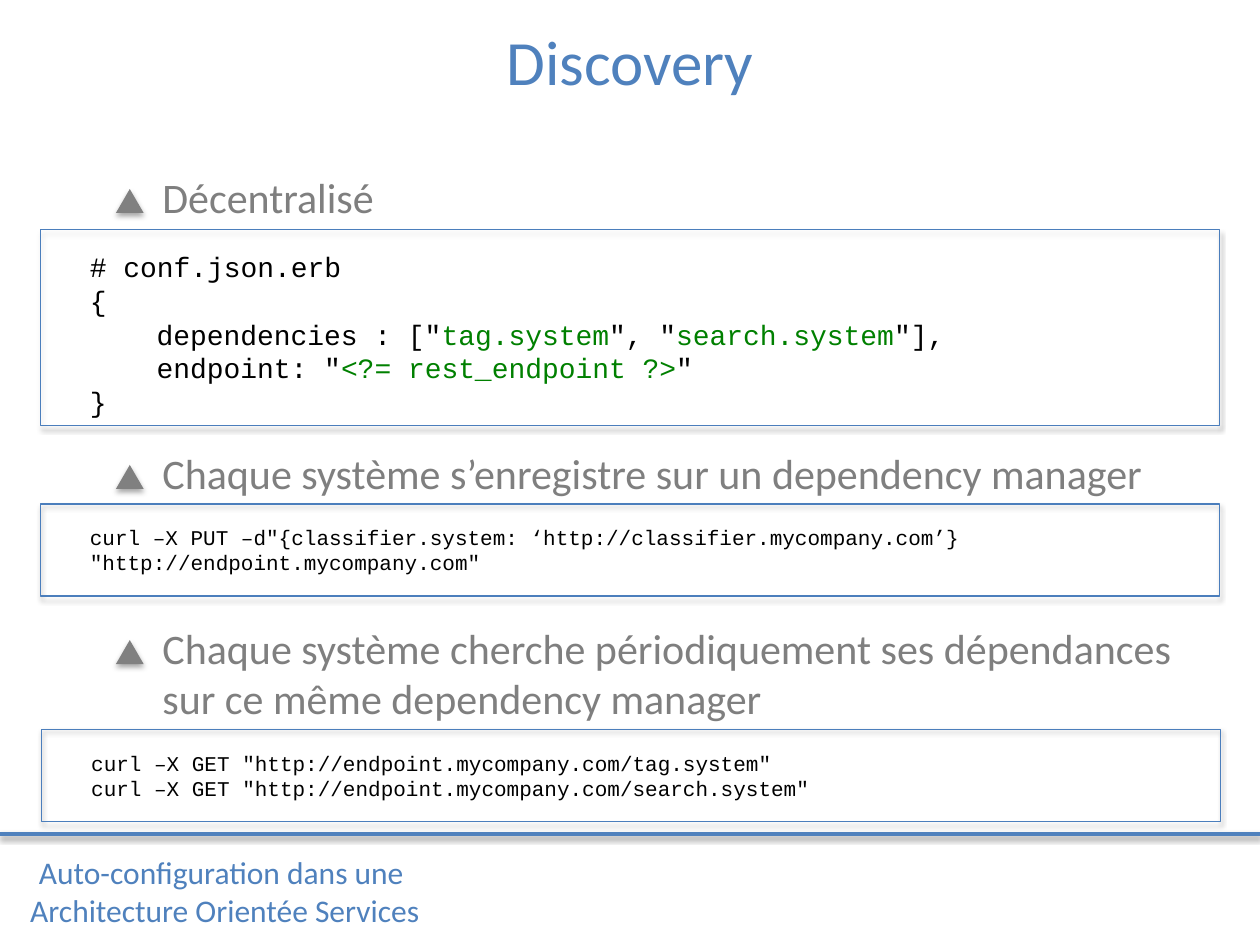
from lxml import etree
from pptx import Presentation
from pptx.dml.color import RGBColor
from pptx.enum.shapes import MSO_CONNECTOR, MSO_SHAPE
from pptx.enum.text import MSO_AUTO_SIZE, PP_ALIGN
from pptx.oxml.ns import qn
from pptx.util import Inches, Pt

STRAIGHT = MSO_CONNECTOR.STRAIGHT
RECTANGLE, TRIANGLE = MSO_SHAPE.RECTANGLE, MSO_SHAPE.ISOSCELES_TRIANGLE
LEFT, CENTER = PP_ALIGN.LEFT, PP_ALIGN.CENTER
FIT_SHAPE = MSO_AUTO_SIZE.SHAPE_TO_FIT_TEXT

COLUMNS, ROWS = 100, 75
WIDTH, HEIGHT = Inches(10), Inches(7.5)
COLORS = {
    "accent": "4F81BD", "frame": "4B7EBC", "bullet": "808080", "body": "7F7F7F",
    "code": "000000", "string": "008000", "shadow": "000000",
}
TITLE = {"name": "Calibri", "size": Pt(36)}
BULLET = {"name": "Calibri", "size": Pt(24)}
FOOTER = {"name": "Calibri", "size": Pt(18)}
CODE = {"name": "Courier New", "size": Pt(16)}
COMMAND = {"name": "Courier New", "size": Pt(12)}
CODE_INDENT = Inches(0.53)


def place(column, row, columns, rows):
    """Turn a grid cell range into left, top, width and height."""
    across, down = WIDTH / COLUMNS, HEIGHT / ROWS
    return [int(value) for value in (column * across, row * down, columns * across, rows * down)]


def color(key):
    """Return the named colour."""
    return RGBColor.from_string(COLORS[key])


def add_shadow(shape, distance, opacity):
    """Give a shape or connector a soft shadow straight below it."""
    properties = shape._element.spPr
    effects = properties.find(qn("a:effectLst"))
    if effects is None:
        effects = etree.SubElement(properties, qn("a:effectLst"))
    shadow = etree.SubElement(
        effects, qn("a:outerShdw"), blurRad=str(Pt(3.1)), dist=str(Pt(distance)),
        dir="5400000", rotWithShape="0")
    tint = etree.SubElement(shadow, qn("a:srgbClr"), val=COLORS["shadow"])
    etree.SubElement(tint, qn("a:alpha"), val=str(opacity * 1000))


def add_text(shapes, cell, lines, font, ink, align=LEFT, wrap=True):
    """Add a text box whose lines are strings or lists of (text, colour) spans."""
    box = shapes.add_textbox(*place(*cell))
    frame = box.text_frame
    frame.word_wrap, frame.auto_size = wrap, FIT_SHAPE
    for index, line in enumerate(lines):
        para = frame.add_paragraph() if index else frame.paragraphs[0]
        para.alignment = align
        for text, key in [(line, ink)] if isinstance(line, str) else line:
            span = para.add_run()
            span.text = text
            for name, value in font.items():
                setattr(span.font, name, value)
            span.font.color.rgb = color(key)
    return box


def add_bullet(page, row, columns, rows, lines):
    """Add a grouped triangle and its statement."""
    shapes = page.shapes.add_group_shape().shapes
    add_text(shapes, (11.9, row, columns, rows), lines, BULLET, "body", wrap=False)
    marker = shapes.add_shape(TRIANGLE, *place(9.2, row + 1.9, 2.2, 1.9))
    marker.shadow.inherit = False
    marker.fill.solid()
    marker.fill.fore_color.rgb = color("bullet")
    marker.line.fill.background()
    add_shadow(marker, 1.8, 35)


def add_code(page, column, row, rows, text_rows, lines, font):
    """Add a framed code listing and return its text box."""
    frame = page.shapes.add_shape(RECTANGLE, *place(column, row, 93.6, rows))
    frame.shadow.inherit = False
    frame.fill.background()
    frame.line.color.rgb = color("frame")
    frame.line.width = Pt(0.75)
    add_shadow(frame, 1.8, 35)
    cell = (column + 2.95, row + 1.15, 89.1, text_rows)
    return add_text(page.shapes, cell, lines, font, "code")


def add_footer_rule(page, row):
    """Add the full-width rule above the footer."""
    left, top, width, _ = place(0, row, COLUMNS, 0)
    rule = page.shapes.add_connector(STRAIGHT, left, top, left + width, top)
    rule.line.color.rgb = color("accent")
    rule.line.width = Pt(2)
    add_shadow(rule, 1.6, 38)


def main():
    """Build and save the Discovery slide."""
    deck = Presentation()
    deck.slide_width, deck.slide_height = WIDTH, HEIGHT
    page = deck.slides.add_slide(deck.slide_layouts[6])

    add_text(page.shapes, (0, 1.3, COLUMNS, 7.1), ["Discovery"], TITLE, "accent", CENTER)
    add_footer_rule(page, 66.2)

    add_bullet(page, 13.1, 19.1, 5, ["Décentralisé"])
    listing = add_code(page, 3.2, 18.2, 15.6, 14.5, [
        "# conf.json.erb",
        "{",
        [('dependencies : ["', "code"), ("tag.system", "string"), ('", "', "code"),
         ("search.system", "string"), ('"],', "code")],
        [('endpoint: "', "code"), ("<?= rest_endpoint ?>", "string"), ('"', "code")],
        "}",
    ], CODE)
    for para in listing.text_frame.paragraphs[2:4]:
        para._p.get_or_add_pPr().set("marL", str(CODE_INDENT))

    add_bullet(page, 35, 81.1, 5, ["Chaque système s’enregistre sur un dependency manager"])
    add_code(page, 3.2, 40, 7.3, 5, [
        "curl –X PUT –d\"{classifier.system: "
        "‘http://classifier.mycompany.com’} \"http://endpoint.mycompany.com\"",
    ], COMMAND)

    add_bullet(page, 48.9, 83.1, 9.1, [
        "Chaque système cherche périodiquement ses dépendances",
        "sur ce même dependency manager",
    ])
    add_code(page, 3.3, 57.9, 7.3, 7.1, [
        f'curl –X GET "http://endpoint.mycompany.com/{name}.system"' for name in ("tag", "search")
    ], COMMAND)

    add_text(page.shapes, (1.2, 67.2, 33.3, 7.1),
             ["Auto-configuration dans une ", "Architecture Orientée Services"],
             FOOTER, "accent", CENTER, wrap=False)
    deck.save("out.pptx")


if __name__ == "__main__":
    main()
